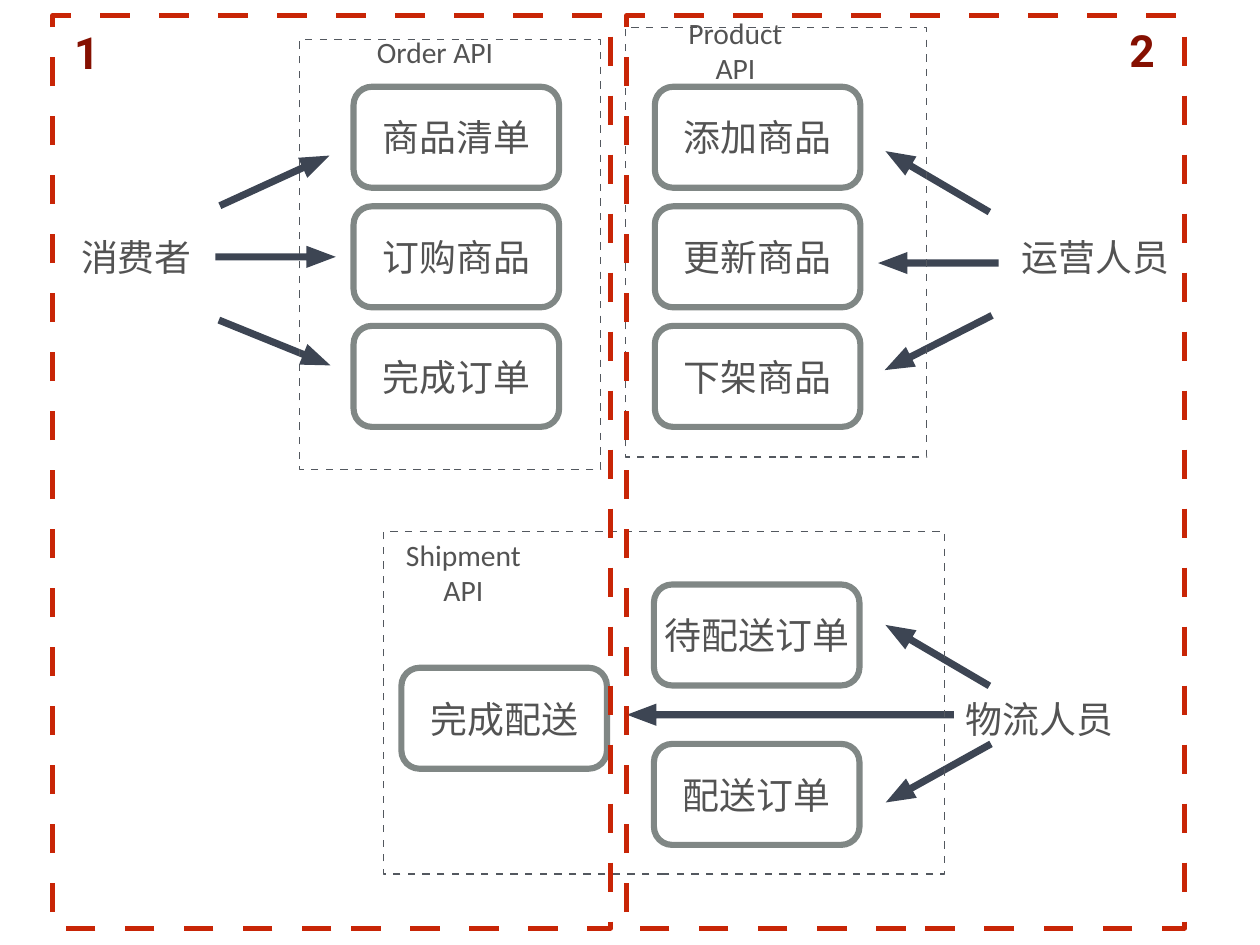
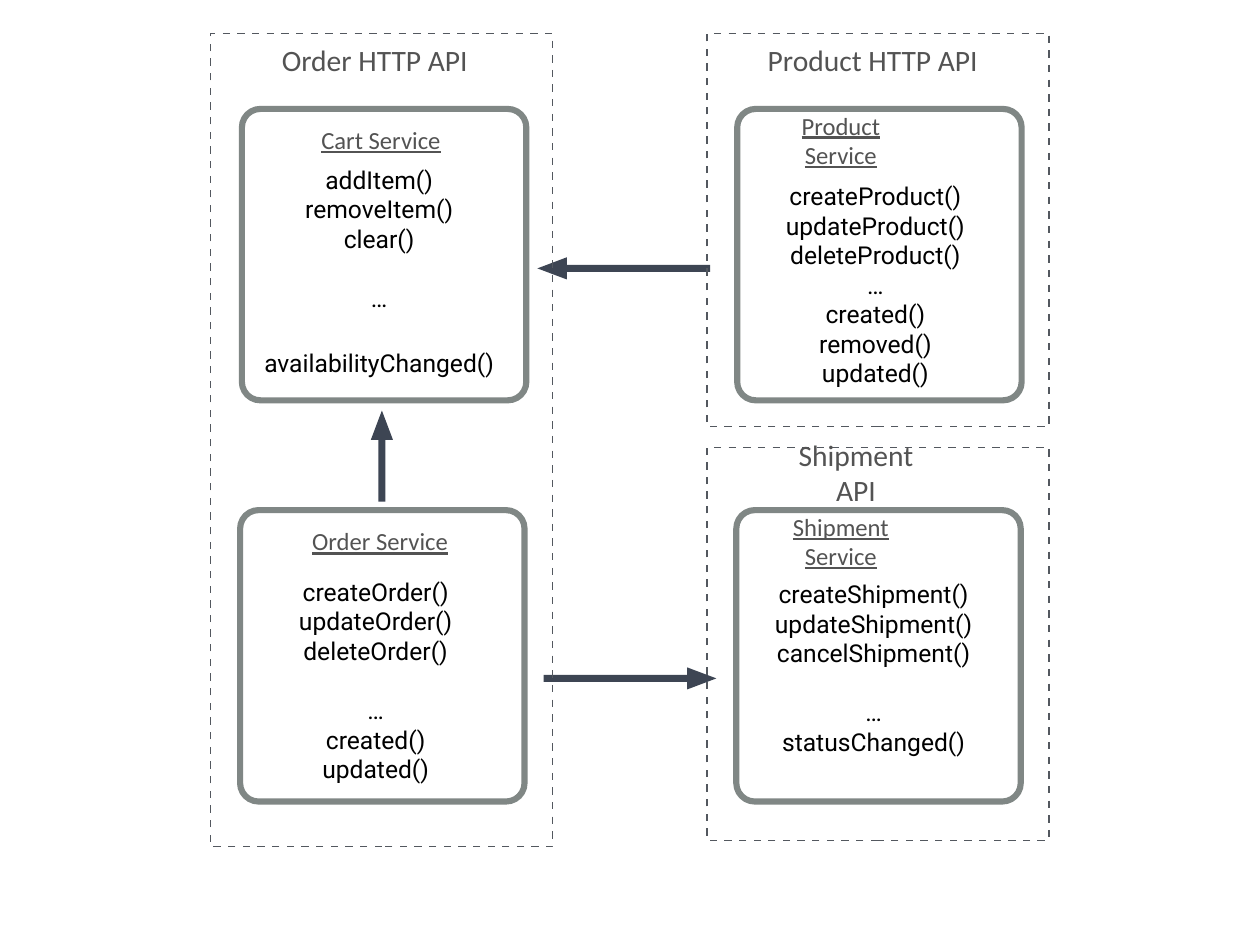
from dataclasses import dataclass

from lxml.etree import SubElement
from pptx import Presentation
from pptx.dml.color import RGBColor
from pptx.enum.shapes import MSO_SHAPE
from pptx.enum.text import MSO_ANCHOR, PP_ALIGN
from pptx.oxml.ns import qn
from pptx.util import Pt

EMU_PER_PX = 9144  # 100 px to the inch

GREY_TEXT = RGBColor(0x53, 0x53, 0x53)
BLACK = RGBColor(0x00, 0x00, 0x00)
DARK_RED = RGBColor(0x85, 0x10, 0x01)
RED = RGBColor(0xC8, 0x25, 0x06)
CARD_LINE = RGBColor(0x80, 0x87, 0x85)
GROUP_LINE = RGBColor(0x53, 0x58, 0x5F)
ARROW_FILL = RGBColor(0x3D, 0x45, 0x53)


@dataclass(frozen=True)
class TextStyle:
    font: str
    size: int
    color: RGBColor
    bold: bool = False
    underline: bool = False


NAME = TextStyle("Calibri", 30, GREY_TEXT)
API_TITLE = TextStyle("Calibri", 24, GREY_TEXT)
SERVICE_TITLE = TextStyle("Calibri", 20, GREY_TEXT, underline=True)
METHOD = TextStyle("Roboto", 20, BLACK)
NUMBER = TextStyle("Roboto", 36, DARK_RED, bold=True)

# Label widths: room for one line, or narrow enough to break after the first word
ONE_LINE = 300
TWO_LINES = 150


def px(*lengths):
    return [round(length * EMU_PER_PX) for length in lengths]


def write_text(text_frame, text, style, wrap):
    text_frame.text = text
    text_frame.word_wrap = wrap
    text_frame.vertical_anchor = MSO_ANCHOR.MIDDLE
    text_frame.margin_left, text_frame.margin_right = px(8, 8)
    text_frame.margin_top, text_frame.margin_bottom = px(8, 8)
    for paragraph in text_frame.paragraphs:
        paragraph.alignment = PP_ALIGN.CENTER
        for run in paragraph.runs:
            run.font.name = style.font
            run.font.size = Pt(style.size)
            run.font.color.rgb = style.color
            run.font.bold = style.bold
            run.font.underline = style.underline


def add_label(slide, text, center_x, center_y, style, width=ONE_LINE, height=60):
    """Text centred on a point, wrapped at the width."""
    box = slide.shapes.add_textbox(
        *px(center_x - width / 2, center_y - height / 2, width, height))
    write_text(box.text_frame, text, style, wrap=True)
    return box


def add_outline(slide, kind, bounds, color, weight):
    shape = slide.shapes.add_shape(kind, *px(*bounds))
    shape.shadow.inherit = False
    shape.fill.background()
    shape.line.color.rgb = color
    shape.line.width = Pt(weight)
    return shape


def add_card(slide, left, top, width, height, corner):
    shape = add_outline(slide, MSO_SHAPE.ROUNDED_RECTANGLE,
                        (left, top, width, height), CARD_LINE, 5)
    shape.adjustments[0] = corner
    return shape


def add_dashed_frame(slide, bounds, color=GROUP_LINE, weight=1):
    shape = add_outline(slide, MSO_SHAPE.RECTANGLE, bounds, color, weight)
    # Dash and gap are each six line widths
    dashes = SubElement(shape.line._get_or_add_ln(), qn("a:custDash"))
    SubElement(dashes, qn("a:ds"), d="600000", sp="600000")


def add_arrow(slide, center_x, center_y, length, angle):
    thickness = 25
    shape = slide.shapes.add_shape(
        MSO_SHAPE.RIGHT_ARROW,
        *px(center_x - length / 2, center_y - thickness / 2, length, thickness))
    shape.shadow.inherit = False
    shape.fill.solid()
    shape.fill.fore_color.rgb = ARROW_FILL
    shape.line.fill.background()
    shape.adjustments[0] = 0.32
    shape.adjustments[1] = 1.325
    shape.rotation = angle


def add_use_case(slide, text, left, top):
    card = add_card(slide, left, top, 232, 114, 0.18)
    write_text(card.text_frame, text, NAME, wrap=False)


def add_service(slide, left, top, title, title_x, title_width):
    add_card(slide, left, top, 321, 329, 0.065)
    add_label(slide, title, title_x, top + 35, SERVICE_TITLE, title_width, 48)


def add_methods(slide, methods, center_x, center_y, gap=True):
    box = add_label(slide, "\n".join(methods), center_x, center_y, METHOD)
    for paragraph in box.text_frame.paragraphs:
        if gap and paragraph.text == "…":
            paragraph.space_before = Pt(24)


def build_use_cases(slide):
    # Use cases
    columns = [(399, ["商品清单", "订购商品", "完成订单"]),
               (739, ["添加商品", "更新商品", "下架商品"])]
    for left, names in columns:
        for row, name in enumerate(names):
            add_use_case(slide, name, left, 98 + 135 * row)
    add_use_case(slide, "待配送订单", 738, 660)
    add_use_case(slide, "配送订单", 738, 840)
    add_use_case(slide, "完成配送", 453, 754)

    # Actors and their arrows
    for actor, x, y in [("运营人员", 1236, 290), ("消费者", 154, 290),
                        ("物流人员", 1173, 812)]:
        add_label(slide, actor, x, y, NAME, 200)
    for arrow in [(310, 204, 136, 335.4), (310, 387, 136, 22.1), (311, 290, 136, 0),
                  (892, 807, 369, 180), (1058, 205, 136, 210.4),
                  (1059, 387, 136, 153), (1059, 297, 136, 180),
                  (1058, 740, 136, 210.4), (1059, 873, 136, 150.9)]:
        add_arrow(slide, *arrow)

    # API groups
    for bounds in [(338, 45, 340, 485), (706, 31, 340, 485), (433, 600, 633, 387)]:
        add_dashed_frame(slide, bounds)
    add_label(slide, "Order API", 491, 58, API_TITLE)
    add_label(slide, "Product API", 830, 57, API_TITLE, TWO_LINES)
    add_label(slide, "Shipment API", 523, 646, API_TITLE, TWO_LINES)

    # Numbered halves
    for number, left, x, y in [("1", 59, 98, 59), ("2", 707, 1289, 56)]:
        add_dashed_frame(slide, (left, 18, 630, 1030), RED, 4)
        add_label(slide, number, x, y, NUMBER, 60, 70)


def build_services(slide):
    # Services
    add_service(slide, 273, 123, "Cart Service", 430, ONE_LINE)
    add_service(slide, 832, 123, "Product Service", 949, TWO_LINES)
    add_service(slide, 271, 576, "Order Service", 429, ONE_LINE)
    add_service(slide, 831, 576, "Shipment Service", 949, TWO_LINES)

    # Calls between services
    add_arrow(slide, 711, 766, 195, 0)
    add_arrow(slide, 431, 515, 103, 270)
    add_arrow(slide, 704, 303, 195, 180)

    # Methods and events
    add_methods(slide, ["addItem()", "removeItem()", "clear()", "…"], 428, 269)
    add_methods(slide, ["availabilityChanged()"], 428, 410)
    add_methods(slide, ["createProduct()", "updateProduct()", "deleteProduct()", "…",
                        "created()", "removed()", "updated()"], 988, 321, gap=False)
    add_methods(slide, ["createOrder()", "updateOrder()", "deleteOrder()", "…",
                        "created()", "updated()"], 424, 768)
    add_methods(slide, ["createShipment()", "updateShipment()", "cancelShipment()", "…",
                        "statusChanged()"], 986, 754)

    # API groups
    for bounds in [(238, 38, 386, 918), (798, 38, 386, 444), (798, 505, 386, 444)]:
        add_dashed_frame(slide, bounds)
    add_label(slide, "Order HTTP API", 423, 67, API_TITLE)
    add_label(slide, "Product HTTP API", 985, 67, API_TITLE)
    add_label(slide, "Shipment API", 966, 533, API_TITLE, TWO_LINES)


def main():
    presentation = Presentation()
    presentation.slide_width, presentation.slide_height = px(1422, 1067)
    for build in (build_use_cases, build_services):
        build(presentation.slides.add_slide(presentation.slide_layouts[6]))
    presentation.save("out.pptx")


if __name__ == "__main__":
    main()
